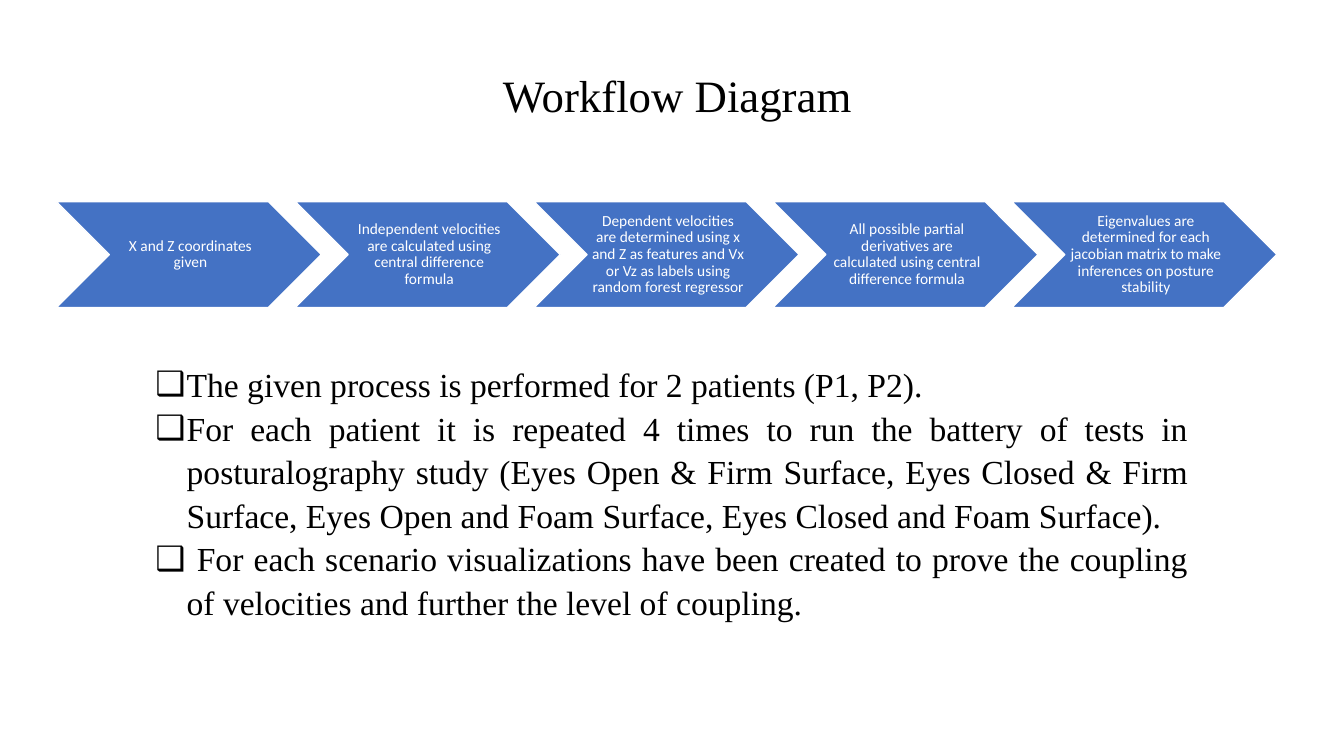
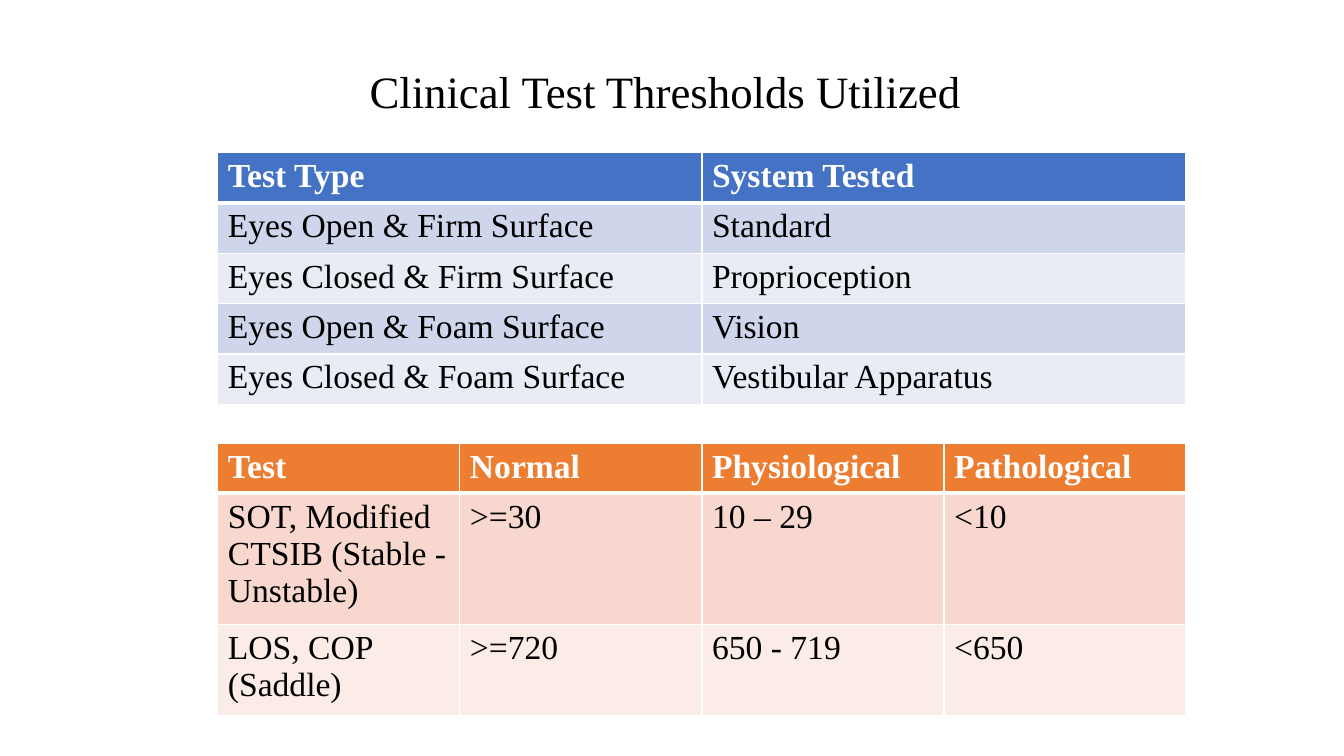
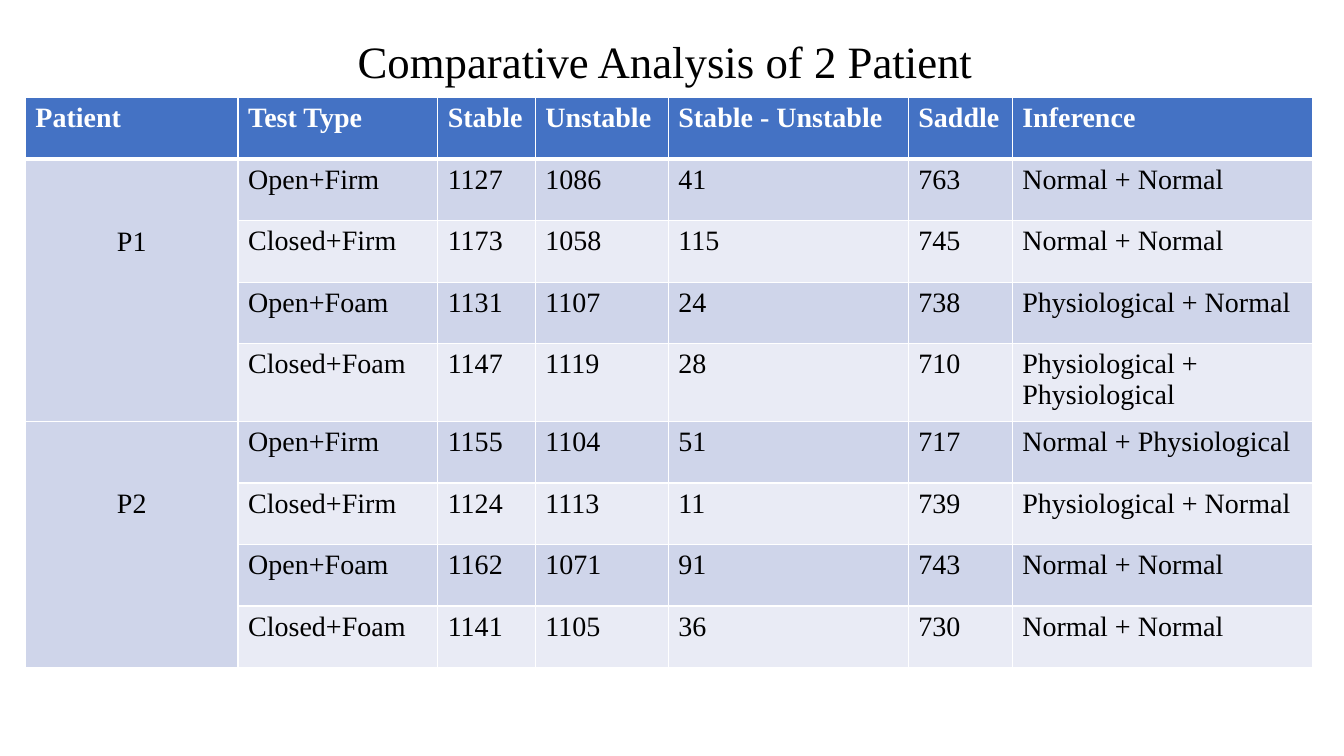
import pptx
import pptx.dml.color
import pptx.enum.shapes
import pptx.enum.text
import pptx.oxml
import pptx.oxml.ns
import pptx.util

Cm, Pt = pptx.util.Cm, pptx.util.Pt
RGB = pptx.dml.color.RGBColor
ALIGN = pptx.enum.text.PP_ALIGN
ANCHOR = pptx.enum.text.MSO_ANCHOR

SERIF, SANS = "Times New Roman", "Calibri"
BLACK, WHITE = RGB(0, 0, 0), RGB(255, 255, 255)
BLUE, ORANGE = RGB(0x44, 0x72, 0xC4), RGB(0xED, 0x7D, 0x31)
BLUES = (BLUE, RGB(0xCF, 0xD5, 0xEA), RGB(0xE9, 0xEB, 0xF5))
ORANGES = (ORANGE, RGB(0xF8, 0xD7, 0xCE), RGB(0xFC, 0xEC, 0xE8))

STEPS = (
    "X and Z coordinates given",
    "Independent velocities are calculated using central difference formula",
    "Dependent velocities are determined using x and Z as features and Vx or Vz "
    "as labels using random forest regressor",
    "All possible partial derivatives are calculated using central difference formula",
    "Eigenvalues are determined for each jacobian matrix to make inferences on "
    "posture stability",
)
NOTES = (
    "The given process is performed for 2 patients (P1, P2).",
    "For each patient it is repeated 4 times to run the battery of tests in "
    "posturalography study (Eyes Open & Firm Surface, Eyes Closed & Firm Surface, "
    "Eyes Open and Foam Surface, Eyes Closed and Foam Surface).",
    " For each scenario visualizations have been created to prove the coupling of "
    "velocities and further the level of coupling.",
)
SYSTEMS = (
    ("Test Type", "System Tested"),
    ("Eyes Open & Firm Surface", "Standard"),
    ("Eyes Closed & Firm Surface", "Proprioception"),
    ("Eyes Open & Foam Surface", "Vision"),
    ("Eyes Closed & Foam Surface", "Vestibular Apparatus"),
)
LIMITS = (
    ("Test", "Normal", "Physiological", "Pathological"),
    ("SOT, Modified CTSIB (Stable - Unstable)", ">=30", "10 – 29", "<10"),
    ("LOS, COP (Saddle)", ">=720", "650 - 719", "<650"),
)
RESULTS = (
    ("Patient", "Test Type", "Stable", "Unstable", "Stable - Unstable", "Saddle",
     "Inference"),
    ("P1", "Open+Firm", "1127", "1086", "41", "763", "Normal + Normal"),
    ("", "Closed+Firm", "1173", "1058", "115", "745", "Normal + Normal"),
    ("", "Open+Foam", "1131", "1107", "24", "738", "Physiological + Normal"),
    ("", "Closed+Foam", "1147", "1119", "28", "710", "Physiological + Physiological"),
    ("P2", "Open+Firm", "1155", "1104", "51", "717", "Normal + Physiological"),
    ("", "Closed+Firm", "1124", "1113", "11", "739", "Physiological + Normal"),
    ("", "Open+Foam", "1162", "1071", "91", "743", "Normal + Normal"),
    ("", "Closed+Foam", "1141", "1105", "36", "730", "Normal + Normal"),
)


def style(para, size, color=BLACK, name=SERIF, bold=False):
    """Set the font of a paragraph."""
    font = para.font
    font.size, font.name, font.bold = Pt(size), name, bold
    font.color.rgb = color


def place(shape, left, top, width, height):
    """Move and size a shape, in centimetres."""
    shape.left, shape.top = Cm(left), Cm(top)
    shape.width, shape.height = Cm(width), Cm(height)


def add_slide(deck, layout, title, left, top, width):
    """Add a slide with a centred title."""
    slide = deck.slides.add_slide(deck.slide_layouts[layout])
    shape = slide.shapes.title
    place(shape, left, top, width, 1.63)
    shape.text_frame.text = title
    shape.text_frame.auto_size = pptx.enum.text.MSO_AUTO_SIZE.NONE
    para = shape.text_frame.paragraphs[0]
    para.alignment = ALIGN.CENTER
    style(para, 32)
    return slide


def add_step(slide, text, left):
    """Add one chevron of the workflow."""
    kind = pptx.enum.shapes.MSO_SHAPE.CHEVRON
    shape = slide.shapes.add_shape(kind, Cm(left), Cm(5.08), Cm(6.68), Cm(2.67))
    shape.shadow.inherit = False
    shape.fill.solid()
    shape.fill.fore_color.rgb = BLUE
    shape.line.color.rgb = WHITE
    shape.line.width = Pt(1)
    frame = shape.text_frame
    frame.word_wrap = True
    frame.vertical_anchor = ANCHOR.MIDDLE
    frame.margin_left = Cm(0.12)
    frame.margin_top = frame.margin_right = frame.margin_bottom = Cm(0.04)
    frame.text = text
    para = frame.paragraphs[0]
    para.alignment = ALIGN.CENTER
    para.line_spacing = 0.9
    style(para, 11, WHITE, SANS)


def fill_list(shape, items):
    """Fill the body placeholder with box bullets."""
    frame = shape.text_frame
    frame.text = "\n".join(items)
    frame.auto_size = pptx.enum.text.MSO_AUTO_SIZE.NONE
    for para in frame.paragraphs:
        props = para._p.get_or_add_pPr()
        props.set("marL", str(Cm(0.79)))
        props.set("indent", str(-Cm(0.79)))
        bullet = pptx.oxml.parse_xml(
            f'<a:buChar {pptx.oxml.ns.nsdecls("a")} char="❑"/>')
        props.append(bullet)
        para.alignment = ALIGN.JUSTIFY
        para.line_spacing = 1.08
        para.space_before = Pt(0)
        style(para, 24)


def add_edges(cell, row):
    """Draw white cell borders, thick under the header."""
    props = cell._tc.get_or_add_tcPr()
    thick = {("B", 0), ("T", 1)}
    for side in "LRTB":
        width = Pt(3 if (side, row) in thick else 1)
        props.append(pptx.oxml.parse_xml(
            f'<a:ln{side} {pptx.oxml.ns.nsdecls("a")} w="{width}"><a:solidFill>'
            f'<a:srgbClr val="{WHITE}"/></a:solidFill></a:ln{side}>'))


def add_grid(slide, data, left, top, widths, heights, size, fills):
    """Add a banded table and return it."""
    frame = slide.shapes.add_table(
        len(data), len(widths), Cm(left), Cm(top), Cm(sum(widths)), Cm(sum(heights)))
    grid = frame.table
    for col, width in zip(grid.columns, widths):
        col.width = Cm(width)
    for row, (texts, height) in enumerate(zip(data, heights)):
        grid.rows[row].height = Cm(height)
        band = 0 if row == 0 else 2 - row % 2
        for col, text in enumerate(texts):
            cell = grid.cell(row, col)
            add_edges(cell, row)
            cell.fill.solid()
            cell.fill.fore_color.rgb = fills[band]
            cell.text = text
            style(cell.text_frame.paragraphs[0], size,
                  BLACK if row else WHITE, bold=row == 0)
    return grid


def join_rows(grid, first, count):
    """Merge cells of the first column and lower their text."""
    cell = grid.cell(first, 0)
    cell.merge(grid.cell(first + count - 1, 0))
    cell.margin_top = Cm(1.69)
    cell.text_frame.paragraphs[0].alignment = ALIGN.CENTER


def main():
    """Build the deck."""
    deck = pptx.Presentation()
    deck.slide_width, deck.slide_height = Cm(33.87), Cm(19.05)

    flow = add_slide(deck, 1, "Workflow Diagram", 3.25, 1.57, 27.64)
    for index, text in enumerate(STEPS):
        add_step(flow, text, 1.42 + 6.02 * index)
    body = flow.placeholders[1]
    place(body, 3.66, 8.97, 26.54, 6.4)
    fill_list(body, NOTES)

    tests = add_slide(deck, 5, "Clinical Test Thresholds Utilized", 5.49, 1.47, 22.56)
    add_grid(tests, LIMITS, 5.49, 11.18, [6.1] * 4, [1.25, 3.31, 2.29], 24, ORANGES)
    add_grid(tests, SYSTEMS, 5.49, 3.84, [12.2] * 2, [1.27] * 5, 24, BLUES)

    compare = add_slide(deck, 5, "Comparative Analysis of 2 Patient", 4.85, 0.71, 23.83)
    widths = [5.36, 5.03, 2.46, 3.35, 6.05, 2.62, 7.57]
    heights = [1.55] * 4 + [1.96] + [1.55] * 4
    grid = add_grid(compare, RESULTS, 0.64, 2.46, widths, heights, 20, BLUES)
    for first in (1, 5):
        join_rows(grid, first, 4)

    deck.save("out.pptx")


if __name__ == "__main__":
    main()
